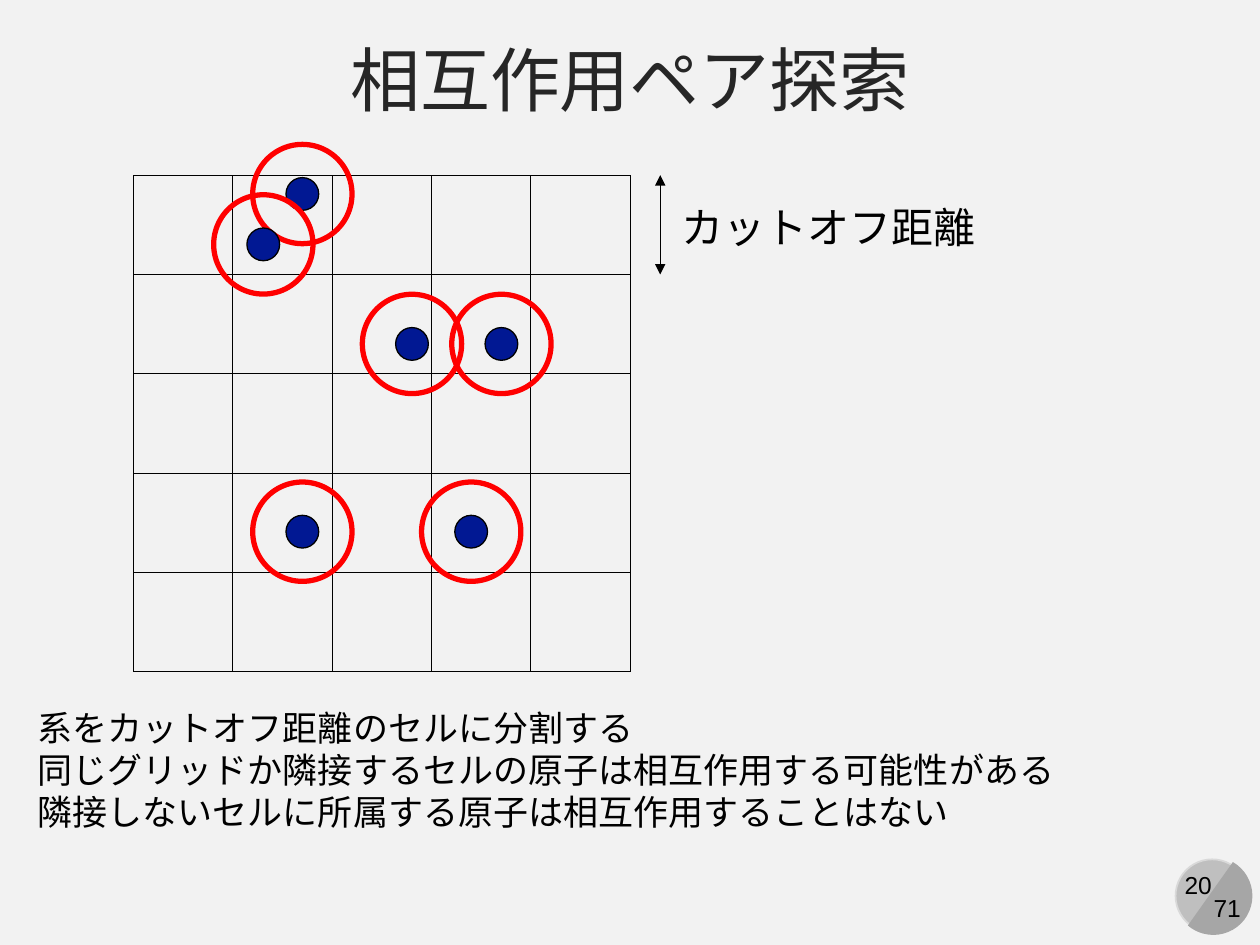
from lxml.etree import SubElement as Sub
from pptx import Presentation
from pptx.dml.color import RGBColor
from pptx.enum.shapes import MSO_CONNECTOR as Conn, MSO_SHAPE as Shape
from pptx.enum.text import MSO_ANCHOR as Anchor, MSO_AUTO_SIZE as Fit, PP_ALIGN as Align
from pptx.oxml.ns import qn
from pptx.util import Inches, Pt

LEFT, TOP, SIDE, CELLS = 1.06, 1.39, 3.94, 5
CELL = SIDE / CELLS
ATOMS = [(3.98, 2.73), (3.27, 2.73), (3.74, 4.22),
         (2.4, 4.22), (2.4, 1.54), (2.09, 1.94)]
NOTES = [
    "系をカットオフ距離のセルに分割する",
    "同じグリッドか隣接するセルの原子は相互作用する可能性がある",
    "隣接しないセルに所属する原子は相互作用することはない",
]


def color(code):
    return RGBColor.from_string(code)


def paint(fill, code):
    if code:
        fill.solid()
        fill.fore_color.rgb = color(code)
    else:
        fill.background()


def add_form(shapes, kind, box, fill=None, line=None, width=1):
    form = shapes.add_shape(kind, *map(Inches, box))
    form.shadow.inherit = False
    paint(form.fill, fill)
    paint(form.line.fill, line)
    if line:
        form.line.width = Pt(width)
    return form


def add_text(slide, lines, box, size, code="000000", align=Align.LEFT,
             wrap=False, fit=Fit.SHAPE_TO_FIT_TEXT, anchor=Anchor.TOP):
    frame = slide.shapes.add_textbox(*map(Inches, box)).text_frame
    frame.text = "\n".join(lines)
    frame.word_wrap = wrap
    frame.auto_size = fit
    frame.vertical_anchor = anchor
    for para in frame.paragraphs:
        para.alignment = align
        para.font.name = "Arial"
        para.font.size = Pt(size)
        para.font.color.rgb = color(code)


def add_line(slide, start, end, heads=False):
    line = slide.shapes.add_connector(Conn.STRAIGHT, *map(Inches, start + end))
    line.line.width = Pt(0.5)
    line.line.color.rgb = color("000000")
    Sub(line._element.spPr, qn("a:effectLst"))
    if heads:
        for tag in ("a:headEnd", "a:tailEnd"):
            Sub(line.line._get_or_add_ln(), qn(tag), type="triangle")


def add_grid(slide):
    right, base = LEFT + SIDE, TOP + SIDE
    for step in range(CELLS + 1):
        x, y = LEFT + step * CELL, TOP + step * CELL
        add_line(slide, (x, TOP), (x, base))
        add_line(slide, (LEFT, y), (right, y))


def add_atom(slide, x, y):
    group = slide.shapes.add_group_shape()
    for size, fill, line, width in ((CELL, None, "FF0000", 3),
                                    (0.26, "011893", "000000", 0.75)):
        box = (x - size / 2, y - size / 2, size, size)
        add_form(group.shapes, Shape.OVAL, box, fill, line, width)


def add_badge(slide):
    add_form(slide.shapes, Shape.OVAL, (9.33, 6.82, 0.58, 0.58), "BFBFBF", "D9D9D9")
    chord = add_form(slide.shapes, Shape.CHORD, (9.32, 6.8, 0.62, 0.62), "A6A6A6")
    chord.rotation = 255
    chord.adjustments[0] = 27
    chord.adjustments[1] = 141.42
    add_text(slide, ["20"], (9.29, 6.86, 0.44, 0.34), 14, align=Align.CENTER)
    add_text(slide, ["71"], (9.53, 7.04, 0.42, 0.34), 14, align=Align.CENTER)


def main():
    deck = Presentation()
    deck.slide_width, deck.slide_height = Inches(10), Inches(7.5)
    slide = deck.slides.add_slide(deck.slide_layouts[6])
    paint(slide.background.fill, "F2F2F2")
    add_badge(slide)
    add_text(slide, ["相互作用ペア探索"], (0, 0.21, 10, 0.82), 40, "262626",
             Align.CENTER, wrap=True, fit=Fit.NONE, anchor=Anchor.MIDDLE)
    add_grid(slide)
    add_line(slide, (5.24, TOP), (5.24, TOP + CELL), heads=True)
    add_text(slide, ["カットオフ距離"], (5.31, 1.55, 2.56, 0.5), 24)
    add_text(slide, NOTES, (0.2, 5.56, 8.34, 1.11), 20)
    for x, y in ATOMS:
        add_atom(slide, x, y)
    deck.save("out.pptx")


if __name__ == "__main__":
    main()
